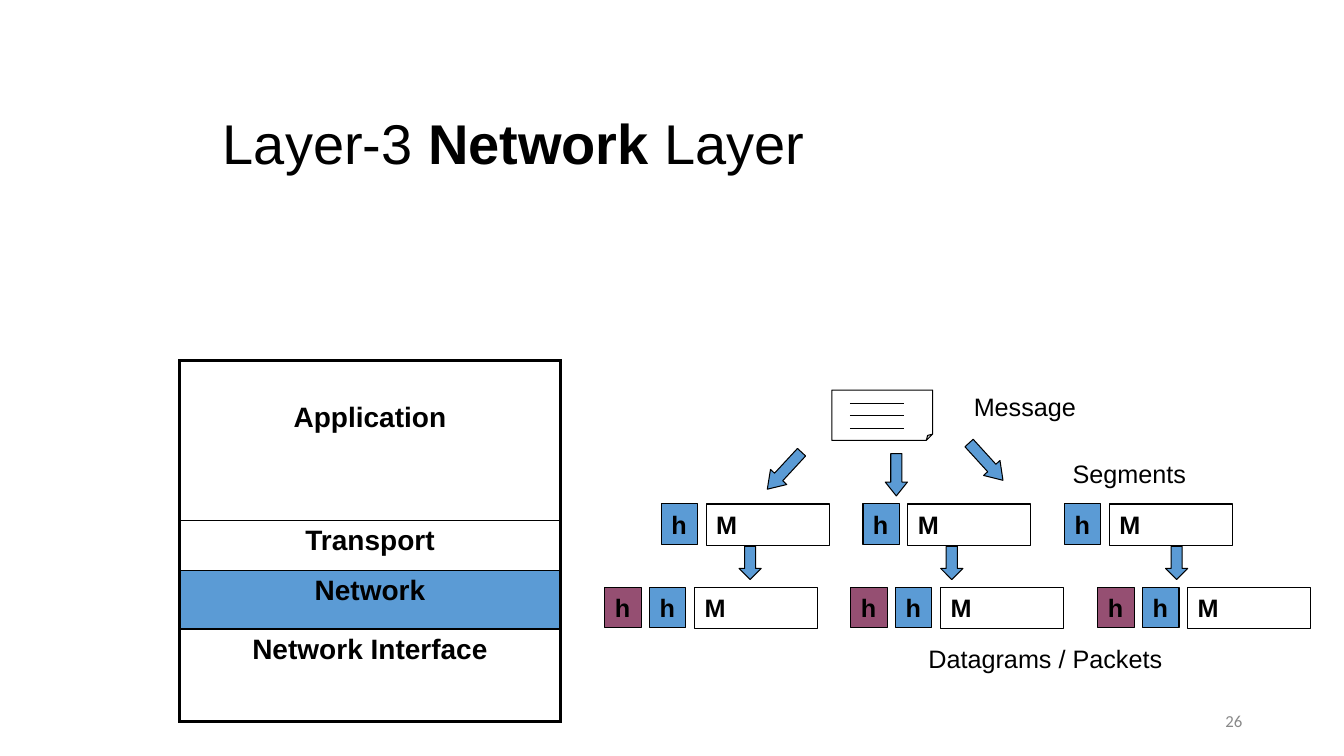
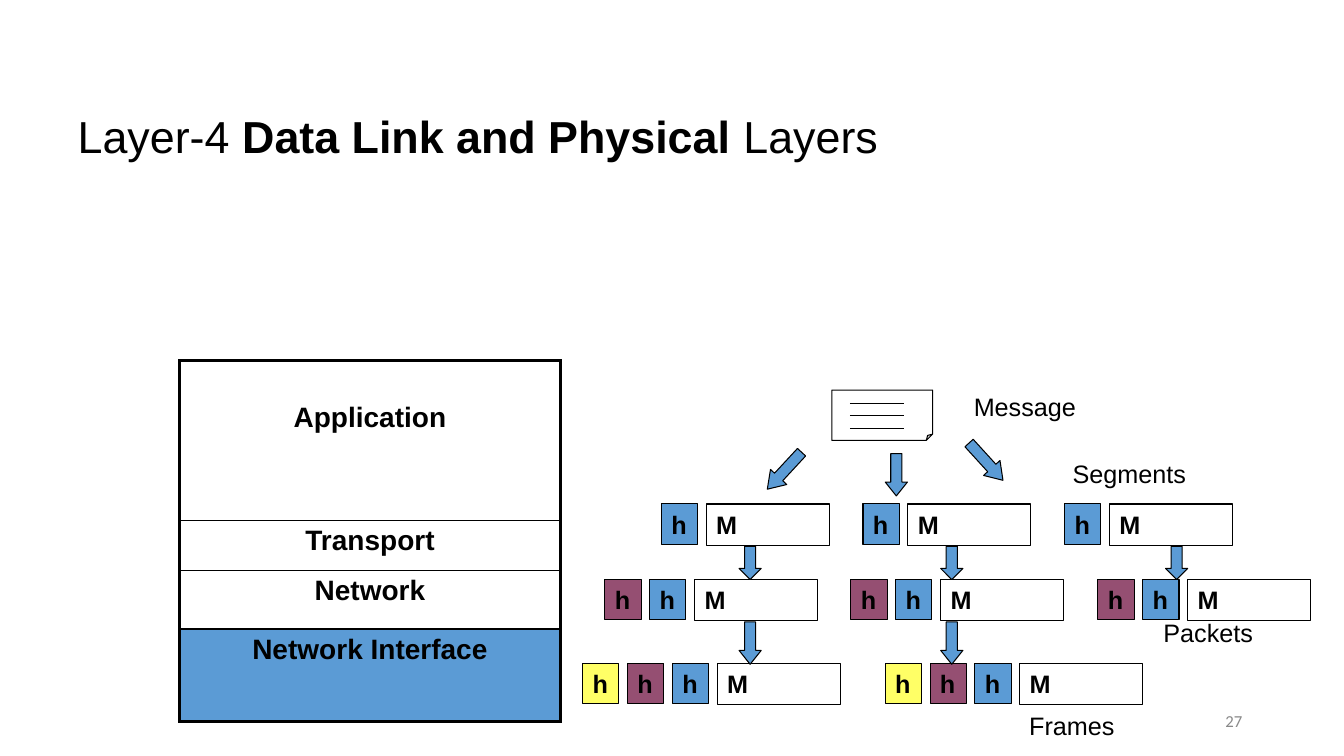
from lxml.etree import SubElement
from pptx import Presentation
from pptx.dml.color import RGBColor
from pptx.enum.shapes import MSO_CONNECTOR, MSO_SHAPE
from pptx.enum.text import MSO_ANCHOR, MSO_AUTO_SIZE, PP_ALIGN
from pptx.oxml.ns import qn
from pptx.util import Inches, Pt

COLORS = {
    "black": "000000",
    "white": "FFFFFF",
    "blue": "5B9BD5",
    "plum": "954F72",
    "yellow": "FFFF66",
    "gray": "898989",
}
LAYERS = [("Application", 1.58), ("Transport", 0.5),
          ("Network", 0.58), ("Network Interface", 0.92)]
HEADER_STEP = 4 / 9
SEGMENT_XS = [6.56, 8.56, 10.56]
PACKET_XS = [6, 8.44, 10.89]
FRAME_XS = [5.78, 8.78]


def rgb(name):
    return RGBColor.from_string(COLORS[name])


def inches(*lengths):
    return [Inches(n) for n in lengths]


def add_run(p, text, size, bold=False, color="black", font="Arial"):
    r = p.add_run()
    r.text = text
    r.font.size = Pt(size)
    r.font.bold = bold
    r.font.name = font
    r.font.color.rgb = rgb(color)


def add_title(slide, box, size, runs):
    """Fill the title placeholder from (text, bold) pairs."""
    sp = slide.shapes.title
    sp.left, sp.top, sp.width, sp.height = inches(*box)
    tf = sp.text_frame
    tf.auto_size = MSO_AUTO_SIZE.NONE
    tf.vertical_anchor = MSO_ANCHOR.MIDDLE
    p = tf.paragraphs[0]
    p.alignment = PP_ALIGN.LEFT
    p.line_spacing = 0.9
    for text, bold in runs:
        add_run(p, text, size, bold)


def add_label(slide, text, x, y, width):
    sp = slide.shapes.add_textbox(*inches(x, y, width, 0.4))
    sp.text_frame.word_wrap = False
    add_run(sp.text_frame.paragraphs[0], text, 18)


def add_page_number(slide, number):
    sp = slide.shapes.add_textbox(*inches(9.42, 6.95, 3, 0.4))
    tf = sp.text_frame
    tf.word_wrap = True
    tf.vertical_anchor = MSO_ANCHOR.MIDDLE
    p = tf.paragraphs[0]
    p.alignment = PP_ALIGN.RIGHT
    add_run(p, str(number), 12, color="gray", font="Calibri")


def add_filled_shape(shapes, kind, box, color):
    sp = shapes.add_shape(kind, *inches(*box))
    sp.shadow.inherit = False
    sp.fill.solid()
    sp.fill.fore_color.rgb = rgb(color)
    sp.line.color.rgb = rgb("black")
    sp.line.width = Pt(0.75)
    return sp


def add_arrow(slide, x, y, height, head=0.5, rotation=0):
    sp = add_filled_shape(slide.shapes, MSO_SHAPE.DOWN_ARROW,
                          (x, y, 0.22, height), "blue")
    sp.adjustments[0] = 0.5
    sp.adjustments[1] = head
    sp.rotation = rotation


def add_block(shapes, text, box, color):
    sp = add_filled_shape(shapes, MSO_SHAPE.RECTANGLE, box, color)
    tf = sp.text_frame
    tf.word_wrap = text == "M"
    tf.vertical_anchor = MSO_ANCHOR.TOP
    p = tf.paragraphs[0]
    p.alignment = PP_ALIGN.LEFT
    add_run(p, text, 18, True)


def add_units(slide, xs, y, headers):
    """Add one row of data units: coloured headers, then the message part."""
    for x in xs:
        shapes = slide.shapes.add_group_shape().shapes
        for i, color in enumerate(headers):
            add_block(shapes, "h", (x + i * HEADER_STEP, y, 0.36, 0.4), color)
        add_block(shapes, "M",
                  (x + len(headers) * HEADER_STEP, y, 1.22, 0.41), "white")


def add_message_icon(slide):
    shapes = slide.shapes.add_group_shape().shapes
    sp = add_filled_shape(shapes, MSO_SHAPE.FOLDED_CORNER,
                          (8.25, 3.87, 1, 0.5), "white")
    # python-pptx lists no adjustment for this preset
    guides = next(sp.element.iter(qn("a:avLst")))
    SubElement(guides, qn("a:gd"), name="adj", fmla="val 12500")
    for y in (4, 4.12, 4.25):
        line = shapes.add_connector(MSO_CONNECTOR.STRAIGHT,
                                    *inches(8.43, y, 8.97, y))
        line.line.color.rgb = rgb("black")
        line.line.width = Pt(0.75)
        SubElement(line.element.spPr, qn("a:effectLst"))


def set_borders(cell, **widths):
    """Draw black borders; widths in points, in the order lnL, lnR, lnT, lnB."""
    tcPr = cell._tc.get_or_add_tcPr()
    for tag, width in widths.items():
        ln = SubElement(tcPr, qn(f"a:{tag}"), w=str(int(Pt(width))))
        fill = SubElement(ln, qn("a:solidFill"))
        SubElement(fill, qn("a:srgbClr"), val=COLORS["black"])


def add_layer_stack(slide, active):
    """Add the table of layers with the active one filled."""
    total = sum(height for _, height in LAYERS)
    frame = slide.shapes.add_table(
        len(LAYERS), 1, *inches(1.78, 3.58, 3.78, total))
    table = frame.table
    table.first_row = table.horz_banding = False
    last = len(LAYERS) - 1
    for i, (name, height) in enumerate(LAYERS):
        table.rows[i].height = Inches(height)
        cell = table.cell(i, 0)
        cell.margin_left = cell.margin_right = Inches(0.13)
        cell.margin_top = Inches(0.41 if i == 0 else 0.05)
        set_borders(cell, lnL=2.25, lnR=2.25,
                    lnT=2.25 if i == 0 else 1,
                    lnB=2.25 if i == last else 1)
        if name == active:
            cell.fill.solid()
            cell.fill.fore_color.rgb = rgb("blue")
        else:
            cell.fill.background()
        p = cell.text_frame.paragraphs[0]
        p.alignment = PP_ALIGN.CENTER
        add_run(p, name, 20, True)


def add_layer_slide(prs, number, active, title_box, title_size, title_runs,
                    packet_y):
    """Add a slide with the layer stack and the flow from message to packets."""
    slide = prs.slides.add_slide(prs.slide_layouts[5])
    add_title(slide, title_box, title_size, title_runs)
    add_page_number(slide, number)
    add_layer_stack(slide, active)
    add_message_icon(slide)
    add_label(slide, "Message", 9.56, 3.83, 1.23)
    add_label(slide, "Segments", 10.54, 4.5, 1.34)
    add_arrow(slide, 7.67, 4.42, 0.5, 0.75, 42.8)
    add_arrow(slide, 8.78, 4.5, 0.42, 0.625)
    add_arrow(slide, 9.67, 4.33, 0.5, 0.75, 317.7)
    add_units(slide, SEGMENT_XS, 5, ["blue"])
    add_units(slide, PACKET_XS, packet_y, ["plum", "blue"])
    for x in (7.33, 9.33, 11.56):
        add_arrow(slide, x, 5.42, 0.33)
    return slide


def main():
    prs = Presentation()
    prs.slide_width, prs.slide_height = inches(13.33, 7.5)

    slide = add_layer_slide(
        prs, 26, "Network", (2.11, 0.83, 10.11, 1.25), 40,
        [("Layer-3", False), (" Network", True), (" Layer", False)], 5.83)
    add_label(slide, "Datagrams / Packets", 9.11, 6.33, 2.54)

    slide = add_layer_slide(
        prs, 27, "Network Interface", (0.67, 0.75, 12.33, 1.25), 32,
        [("Layer-4", False), (" Data Link and Physical ", True),
         ("Layers", False)], 5.75)
    add_label(slide, "Packets", 11.44, 6.08, 1.1)
    add_units(slide, FRAME_XS, 6.58, ["yellow", "plum", "blue"])
    add_label(slide, "Frames", 10.11, 7, 1.06)
    for x in (7.33, 9.33):
        add_arrow(slide, x, 6.17, 0.42, 0.625)

    prs.save("out.pptx")


if __name__ == "__main__":
    main()
